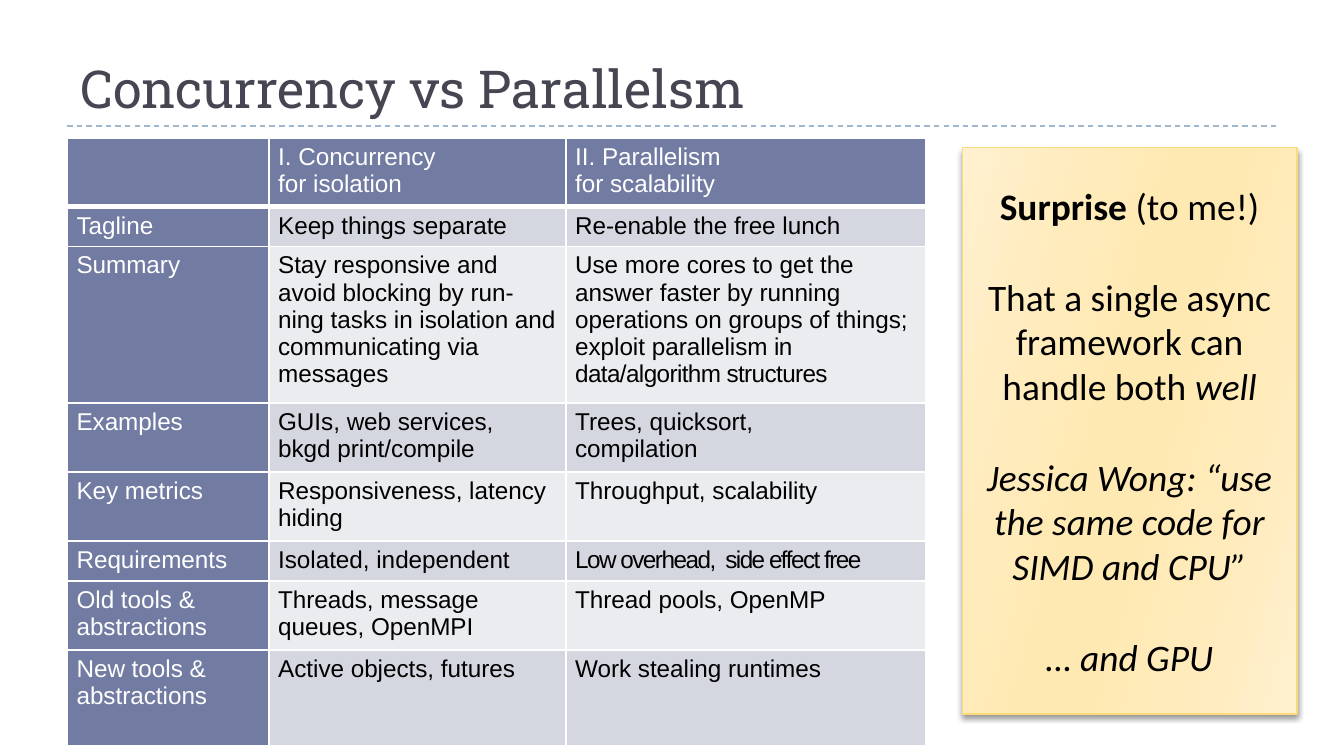
from lxml.etree import SubElement
from pptx import Presentation
from pptx.dml.color import RGBColor
from pptx.enum.dml import MSO_LINE
from pptx.enum.shapes import MSO_CONNECTOR, MSO_SHAPE
from pptx.enum.text import MSO_ANCHOR, PP_ALIGN
from pptx.oxml.ns import qn
from pptx.util import Inches, Pt


def paint(color_format, hex_color):
    color_format.rgb = RGBColor.from_string(hex_color)


def add_element(parent, tag, **attributes):
    values = {name: str(value) for name, value in attributes.items()}
    return SubElement(parent, qn(f"a:{tag}"), values)


presentation = Presentation()
presentation.slide_width = Inches(10)
presentation.slide_height = Inches(5.625)
slide = presentation.slides.add_slide(presentation.slide_layouts[6])

# Grid: 20 columns by 45 rows
column = presentation.slide_width / 20
row = presentation.slide_height / 45

# Title and dashed rule
rule = slide.shapes.add_connector(
    MSO_CONNECTOR.STRAIGHT,
    int(column), int(7.5 * row), int(19 * column), int(7.5 * row))
paint(rule.line.color, "9FB8CD")
rule.line.width = Pt(0.75)
rule.line.dash_style = MSO_LINE.DASH
add_element(rule._element.spPr, "effectLst")

title = slide.shapes.add_textbox(
    int(column), int(row), int(18 * column), int(6.45 * row))
title_frame = title.text_frame
title_frame.word_wrap = True
title_frame.vertical_anchor = MSO_ANCHOR.BOTTOM
title_frame.text = "Concurrency vs Parallelsm"
title_font = title_frame.paragraphs[0].runs[0].font
title_font.name = "Roboto Slab"
title_font.size = Pt(28)
paint(title_font.color, "464653")

# Comparison table; "|" separates runs, the last of which is condensed
comparison = [
    ("", "I. Concurrency\vfor isolation", "II. Parallelism\vfor scalability"),
    ("Tagline", "Keep things separate", "Re-enable the free lunch"),
    ("Summary",
     "Stay responsive and avoid blocking by run-ning tasks in isolation "
     "and communicating via messages",
     "Use more cores to get the answer faster by running operations on "
     "groups of things; exploit parallelism |in data/algorithm structures"),
    ("Examples", "GUIs, web services,\vbkgd print/compile",
     "Trees, quicksort,\vcompilation"),
    ("Key metrics", "Responsiveness, latency hiding",
     "Throughput, scalability"),
    ("Requirements", "Isolated, independent",
     "|Low overhead,  side effect free"),
    ("Old tools & abstractions", "Threads, message queues, OpenMPI",
     "Thread pools, OpenMP"),
    ("New tools & abstractions", "Active objects, futures",
     "Work stealing runtimes"),
]
condensed_spacing = {"Summary": -30, "Requirements": -80}
column_spans = [3, 4.42, 5.36]
row_spans = [4, 2.3, 9.1, 4, 4, 2.3, 4, 5.7]

table_frame = slide.shapes.add_table(
    len(row_spans), len(column_spans), int(column), int(8.2 * row),
    int(sum(column_spans) * column), int(sum(row_spans) * row))
table = table_frame.table
for table_column, span in zip(table.columns, column_spans):
    table_column.width = int(span * column)
for table_row, span in zip(table.rows, row_spans):
    table_row.height = int(span * row)

for row_index, texts in enumerate(comparison):
    for column_index, text in enumerate(texts):
        cell = table.cell(row_index, column_index)
        cell.margin_left = cell.margin_right = Inches(0.07)
        cell.margin_top = cell.margin_bottom = Inches(0.04)
        is_heading = row_index == 0 or column_index == 0

        for side in ("lnL", "lnR", "lnT", "lnB"):
            weight = 3 if row_index == 0 and side == "lnB" else 1
            border = add_element(cell._tc.get_or_add_tcPr(), side, w=Pt(weight))
            add_element(add_element(border, "solidFill"), "srgbClr", val="FFFFFF")
        cell.fill.solid()
        band = "D5D7E0" if row_index % 2 else "EBECF0"
        paint(cell.fill.fore_color, "727CA3" if is_heading else band)

        normal, _, condensed = text.partition("|")
        paragraph = cell.text_frame.paragraphs[0]
        paragraph.text = normal
        if condensed:
            run = paragraph.add_run()
            run.text = condensed
            run.font._element.set("spc", str(condensed_spacing[texts[0]]))
        paragraph.font.size = Pt(13)
        for run in paragraph.runs:
            run.font.name = "Arial"
            run.font.size = Pt(13)
            run.font.bold = False
            paint(run.font.color, "FFFFFF" if is_heading else "000000")

# Callout with gradient and soft shadow
callout = slide.shapes.add_shape(
    MSO_SHAPE.RECTANGLE, int(14.32 * column), int(8.8 * row),
    int(4.98 * column), int(33.7 * row))
callout.fill.gradient()
callout.fill.gradient_angle = 344
stops = callout._element.spPr.find(qn("a:gradFill")).find(qn("a:gsLst"))
stops.clear()
for position, color in [(0, "FFF0CF"), (30, "FFEBBA"), (45, "FFE9B3"),
                        (55, "FFE9B3"), (73, "FFEBBA"), (100, "FFF0CF")]:
    add_element(add_element(stops, "gs", pos=position * 1000), "srgbClr", val=color)
paint(callout.line.color, "FADA7A")
callout.line.width = Pt(0.75)

callout.shadow.inherit = False
effects = callout._element.spPr.find(qn("a:effectLst"))
shadow = add_element(effects, "outerShdw", blurRad=Pt(3), dist=Pt(2),
                     dir=90 * 60000, rotWithShape=0)
add_element(add_element(shadow, "srgbClr", val="000000"), "alpha", val=40000)

remarks = [
    [("Surprise", "bold"), (" (to me!)", "")],
    [("That a single async framework can handle both ", ""), ("well", "italic")],
    [("Jessica Wong: “use the same code for SIMD and CPU”", "italic")],
    [("… and GPU", "italic")],
]
callout_frame = callout.text_frame
callout_frame.word_wrap = True
callout_frame.vertical_anchor = MSO_ANCHOR.MIDDLE
for index, remark in enumerate(remarks):
    paragraph = (callout_frame.add_paragraph() if index
                 else callout_frame.paragraphs[0])
    paragraph.alignment = PP_ALIGN.CENTER
    paragraph.space_before = Pt(24.4 if index else 0)
    for text, style in remark:
        run = paragraph.add_run()
        run.text = text
        run.font.name = "Calibri"
        run.font.size = Pt(20)
        run.font.bold = style == "bold"
        run.font.italic = style == "italic"
        paint(run.font.color, "000000")

presentation.save("out.pptx")
